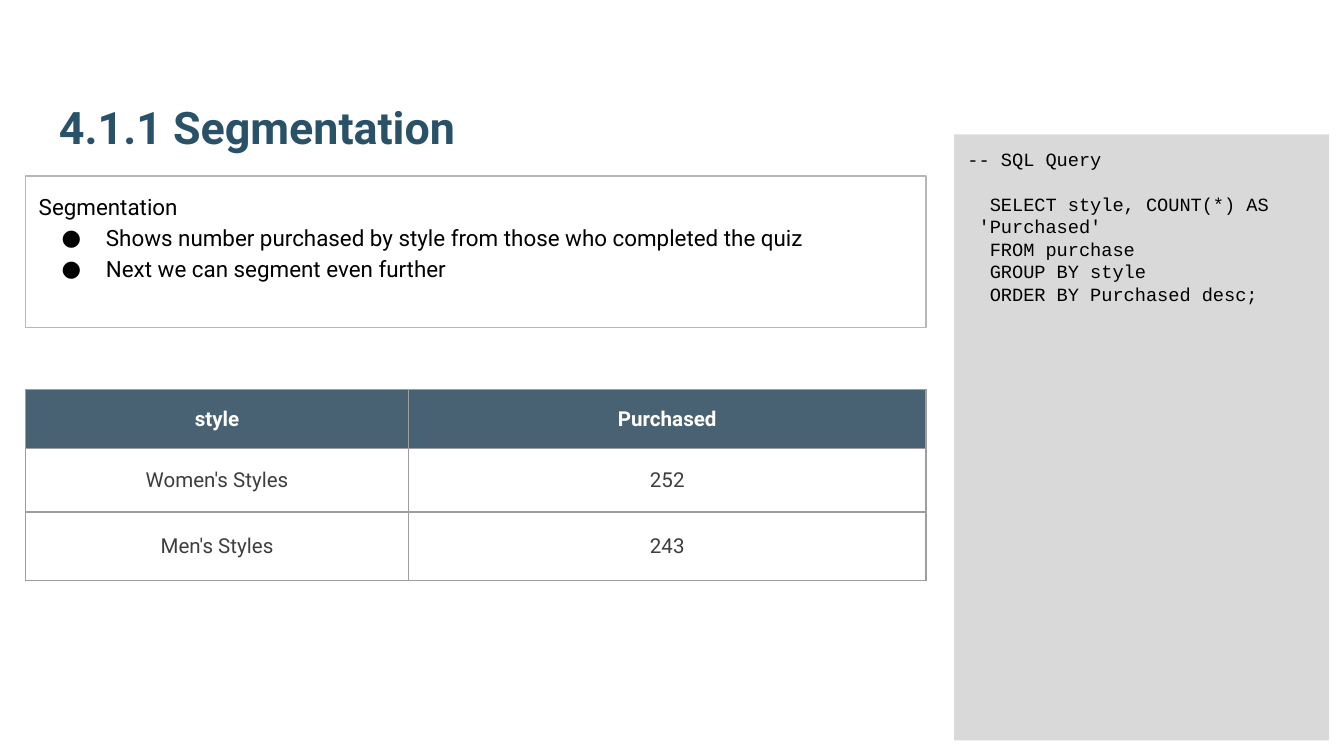
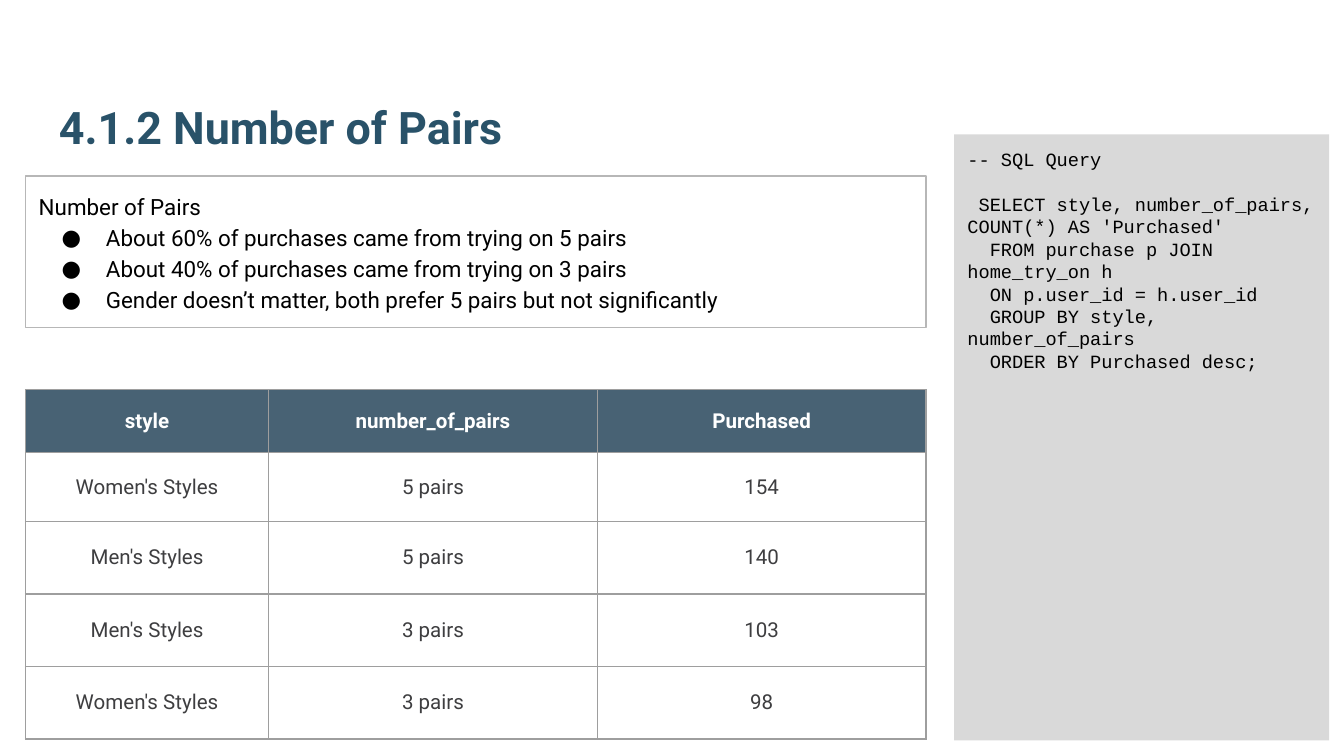
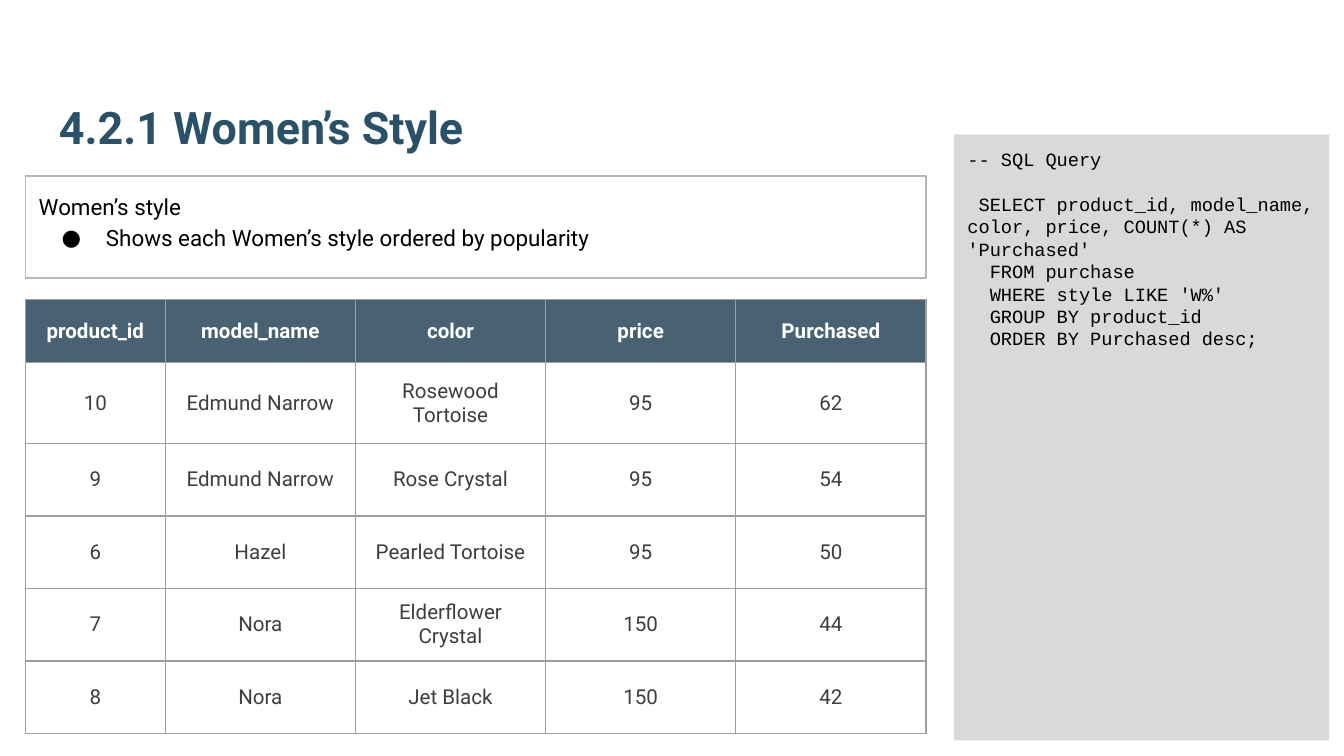
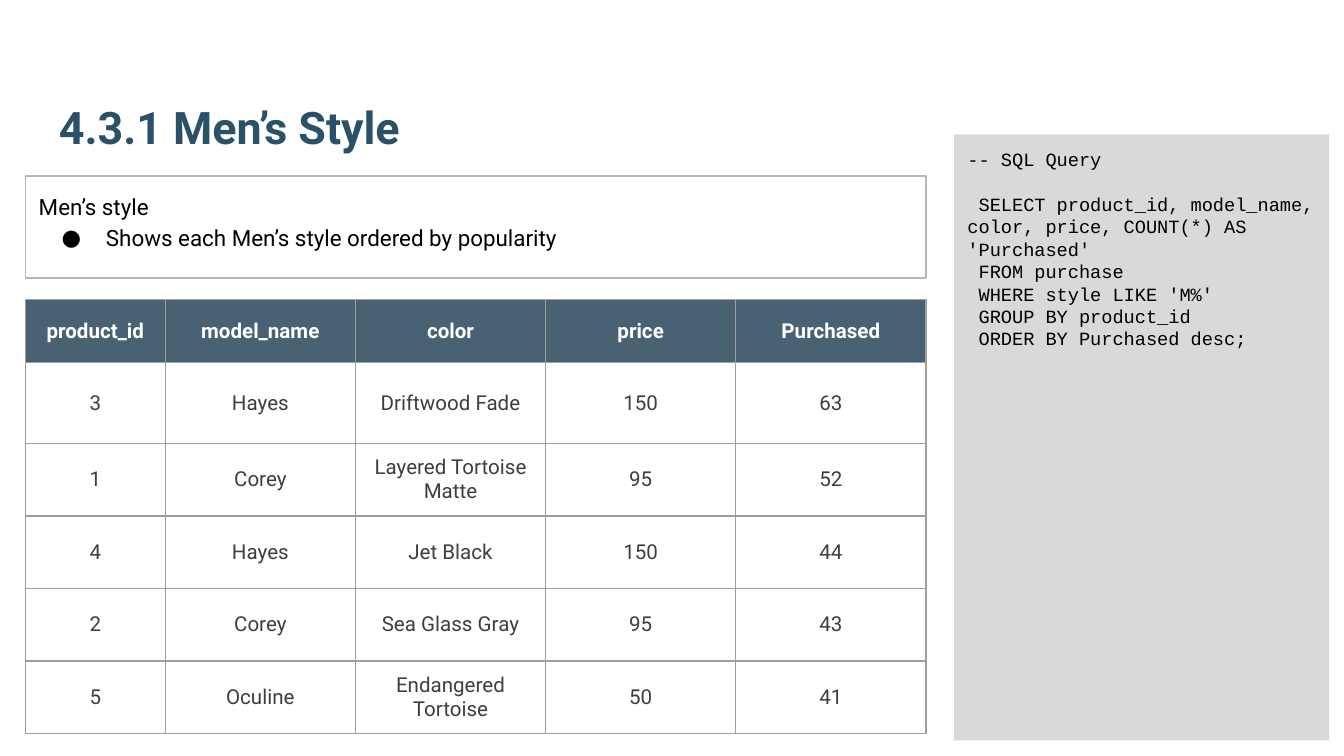
import lxml.etree
import pptx
import pptx.dml.color
import pptx.enum.shapes
import pptx.enum.text
import pptx.oxml.ns
import pptx.util

Inches = pptx.util.Inches
Pt = pptx.util.Pt
MIDDLE = pptx.enum.text.MSO_ANCHOR.MIDDLE
CENTER = pptx.enum.text.PP_ALIGN.CENTER

WHITE, BLACK = "FFFFFF", "000000"
TITLE_BLUE, HEADER_BLUE = "295269", "204056"
CODE_GRAY, NOTE_BORDER, GRID_GRAY, CELL_GRAY = "D9D9D9", "B7B7B7", "9E9E9E", "3E3E40"
HEADER_ALPHA = 82000

TITLE_FONT = {"name": "Roboto", "size": Pt(24), "bold": True}
NOTE_FONT = {"name": "Roboto", "size": Pt(12)}
CODE_FONT = {"name": "Courier New", "size": Pt(10)}
HEADER_FONT = {"name": "Roboto", "size": Pt(11), "bold": True}
CELL_FONT = {"name": "Roboto", "size": Pt(11), "bold": False}
BOX_MARGINS = {f"margin_{side}": Inches(0.1) for side in ("left", "top", "right", "bottom")}
HEADER_MARGINS = {side: Inches(0.08) for side in BOX_MARGINS}
PLAIN_TABLE = {"first_row": False, "horz_banding": False}

SLIDE_WIDTH = 10
SLIDE_HEIGHT = SLIDE_WIDTH * 9 / 16
TITLE_BOX = (0.34, 0.32, 9.32, 0.92)
QUERY_BOX = (7.1, 1, 2.79, 4.51)
LEFT, WIDTH, NOTE_TOP = 0.19, 6.7, 1.31

PURCHASE_COLUMNS = ["product_id", "model_name", "color", "price", "Purchased"]
SEGMENT_LAYOUT = {"note_height": 1.13, "table_top": 2.9}
STYLE_LAYOUT = {
    "note_height": 0.76,
    "table_top": 2.23,
    "first_column": 1.04,
    "rows": [0.47, 0.6] + [0.54] * 4,
}

SECTIONS = [
    {
        **SEGMENT_LAYOUT,
        "title": "4.1.1 Segmentation",
        "topic": "Segmentation",
        "points": [
            "Shows number purchased by style from those who completed the quiz",
            "Next we can segment even further",
        ],
        "query": [
            "  SELECT style, COUNT(*) AS\v 'Purchased'",
            "  FROM purchase",
            "  GROUP BY style",
            "  ORDER BY Purchased desc;",
        ],
        "first_column": 2.85,
        "rows": [0.44, 0.47, 0.51],
        "results": [
            ["style", "Purchased"],
            ["Women's Styles", "252"],
            ["Men's Styles", "243"],
        ],
    },
    {
        **SEGMENT_LAYOUT,
        "title": "4.1.2 Number of Pairs",
        "topic": "Number of Pairs",
        "points": [
            "About 60% of purchases came from trying on 5 pairs",
            "About 40% of purchases came from trying on 3 pairs",
            "Gender doesn’t matter, both prefer 5 pairs but not significantly",
        ],
        "query": [
            " SELECT style, number_of_pairs, COUNT(*) AS 'Purchased'",
            "  FROM purchase p JOIN home_try_on h",
            "  ON p.user_id = h.user_id",
            "  GROUP BY style, number_of_pairs",
            "  ORDER BY Purchased desc;",
        ],
        "first_column": 1.81,
        "rows": [0.47, 0.51] + [0.54] * 3,
        "results": [
            ["style", "number_of_pairs", "Purchased"],
            ["Women's Styles", "5 pairs", "154"],
            ["Men's Styles", "5 pairs", "140"],
            ["Men's Styles", "3 pairs", "103"],
            ["Women's Styles", "3 pairs", "98"],
        ],
    },
    {
        **STYLE_LAYOUT,
        "title": "4.2.1 Women’s Style",
        "topic": "Women’s style",
        "points": ["Shows each Women’s style ordered by popularity"],
        "query": [
            " SELECT product_id, model_name, color, price, COUNT(*) AS 'Purchased'",
            "  FROM purchase",
            "  WHERE style LIKE 'W%'",
            "  GROUP BY product_id",
            "  ORDER BY Purchased desc;",
        ],
        "results": [
            PURCHASE_COLUMNS,
            ["10", "Edmund Narrow", "Rosewood Tortoise", "95", "62"],
            ["9", "Edmund Narrow", "Rose Crystal", "95", "54"],
            ["6", "Hazel", "Pearled Tortoise", "95", "50"],
            ["7", "Nora", "Elderflower Crystal", "150", "44"],
            ["8", "Nora", "Jet Black", "150", "42"],
        ],
    },
    {
        **STYLE_LAYOUT,
        "title": "4.3.1 Men’s Style",
        "topic": "Men’s style",
        "points": ["Shows each Men’s style ordered by popularity"],
        "query": [
            " SELECT product_id, model_name, color, price, COUNT(*) AS 'Purchased'",
            " FROM purchase",
            " WHERE style LIKE 'M%'",
            " GROUP BY product_id",
            " ORDER BY Purchased desc;",
        ],
        "results": [
            PURCHASE_COLUMNS,
            ["3", "Hayes", "Driftwood Fade", "150", "63"],
            ["1", "Corey", "Layered Tortoise Matte", "95", "52"],
            ["4", "Hayes", "Jet Black", "150", "44"],
            ["2", "Corey", "Sea Glass Gray", "95", "43"],
            ["5", "Oculine", "Endangered Tortoise", "50", "41"],
        ],
    },
]


def apply(target, values):
    for key, value in values.items():
        setattr(target, key, value)


def paint(color_format, color):
    color_format.rgb = pptx.dml.color.RGBColor.from_string(color)


def fill_solid(fill, color):
    fill.solid()
    paint(fill.fore_color, color)


def add_xml(parent, tag, **attributes):
    return lxml.etree.SubElement(parent, pptx.oxml.ns.qn(tag), attributes)


def write(paragraph, text, font, color):
    paragraph.text = text
    apply(paragraph.font, font)
    for run in paragraph.runs:
        apply(run.font, font)
        paint(run.font.color, color)


def write_lines(frame, lines, font, color):
    apply(frame, {"word_wrap": True, **BOX_MARGINS})
    for index, line in enumerate(lines):
        paragraph = frame.add_paragraph() if index else frame.paragraphs[0]
        paragraph.alignment = pptx.enum.text.PP_ALIGN.LEFT
        if font is NOTE_FONT:
            paragraph.line_spacing = 1.15
            if index:
                add_bullet(paragraph)
        write(paragraph, line, font, color)
    return frame.paragraphs


def add_bullet(paragraph):
    properties = paragraph._p.get_or_add_pPr()
    properties.set("marL", str(Inches(0.5)))
    properties.set("indent", str(Inches(-0.33)))
    add_xml(add_xml(properties, "a:buClr"), "a:srgbClr", val=BLACK)
    add_xml(properties, "a:buSzPts", val="1200")
    add_xml(properties, "a:buFont", typeface=NOTE_FONT["name"])
    add_xml(properties, "a:buChar", char="●")


def add_panel(slide, box):
    panel = slide.shapes.add_shape(
        pptx.enum.shapes.MSO_SHAPE.RECTANGLE, *map(Inches, box))
    panel.shadow.inherit = False
    panel.text_frame.vertical_anchor = pptx.enum.text.MSO_ANCHOR.TOP
    return panel


def add_title(slide, box, title):
    frame = slide.shapes.add_textbox(*map(Inches, box)).text_frame
    frame.vertical_anchor = pptx.enum.text.MSO_ANCHOR.BOTTOM
    write_lines(frame, [title], TITLE_FONT, TITLE_BLUE)


def add_query(slide, box, query):
    panel = add_panel(slide, box)
    fill_solid(panel.fill, CODE_GRAY)
    panel.line.fill.background()
    lines = write_lines(panel.text_frame, ["-- SQL Query", *query], CODE_FONT, BLACK)
    lines[1].space_before = Pt(12)


def add_findings(slide, box, topic, points):
    panel = add_panel(slide, box)
    panel.fill.background()
    paint(panel.line.color, NOTE_BORDER)
    panel.line.width = Pt(0.75)
    write_lines(panel.text_frame, [topic, *points], NOTE_FONT, BLACK)


def add_borders(cell):
    properties = cell._tc.get_or_add_tcPr()
    for side in ("L", "R", "T", "B"):
        border = add_xml(properties, f"a:ln{side}", w=str(Pt(0.75)))
        add_xml(add_xml(border, "a:solidFill"), "a:srgbClr", val=GRID_GRAY)


def format_header(cell):
    apply(cell, HEADER_MARGINS)
    fill_solid(cell.fill, HEADER_BLUE)
    fill_color = cell._tc.tcPr.find(pptx.oxml.ns.qn("a:solidFill"))[0]
    add_xml(fill_color, "a:alpha", val=str(HEADER_ALPHA))


def add_results(slide, box, first_column, rows, results):
    column_count = len(results[0])
    table = slide.shapes.add_table(len(rows), column_count, *map(Inches, box)).table
    apply(table, PLAIN_TABLE)
    other_column = (box[2] - first_column) / (column_count - 1)
    for index, column in enumerate(table.columns):
        column.width = Inches(other_column if index else first_column)
    for row_index, (row, height, values) in enumerate(zip(table.rows, rows, results)):
        row.height = Inches(height)
        for cell, value in zip(row.cells, values):
            cell.vertical_anchor = MIDDLE
            add_borders(cell)
            paragraph = cell.text_frame.paragraphs[0]
            paragraph.alignment = CENTER
            if row_index == 0:
                format_header(cell)
                write(paragraph, value, HEADER_FONT, WHITE)
            else:
                cell.fill.background()
                write(paragraph, value, CELL_FONT, CELL_GRAY)


def add_section(deck, section):
    slide = deck.slides.add_slide(deck.slide_layouts[6])
    fill_solid(slide.background.fill, WHITE)
    add_title(slide, TITLE_BOX, section["title"])
    add_query(slide, QUERY_BOX, section["query"])
    add_findings(slide, (LEFT, NOTE_TOP, WIDTH, section["note_height"]),
                 section["topic"], section["points"])
    add_results(slide, (LEFT, section["table_top"], WIDTH, sum(section["rows"])),
                section["first_column"], section["rows"], section["results"])


def main():
    deck = pptx.Presentation()
    apply(deck, {"slide_width": Inches(SLIDE_WIDTH), "slide_height": Inches(SLIDE_HEIGHT)})
    for section in SECTIONS:
        add_section(deck, section)
    deck.save("out.pptx")


if __name__ == "__main__":
    main()
